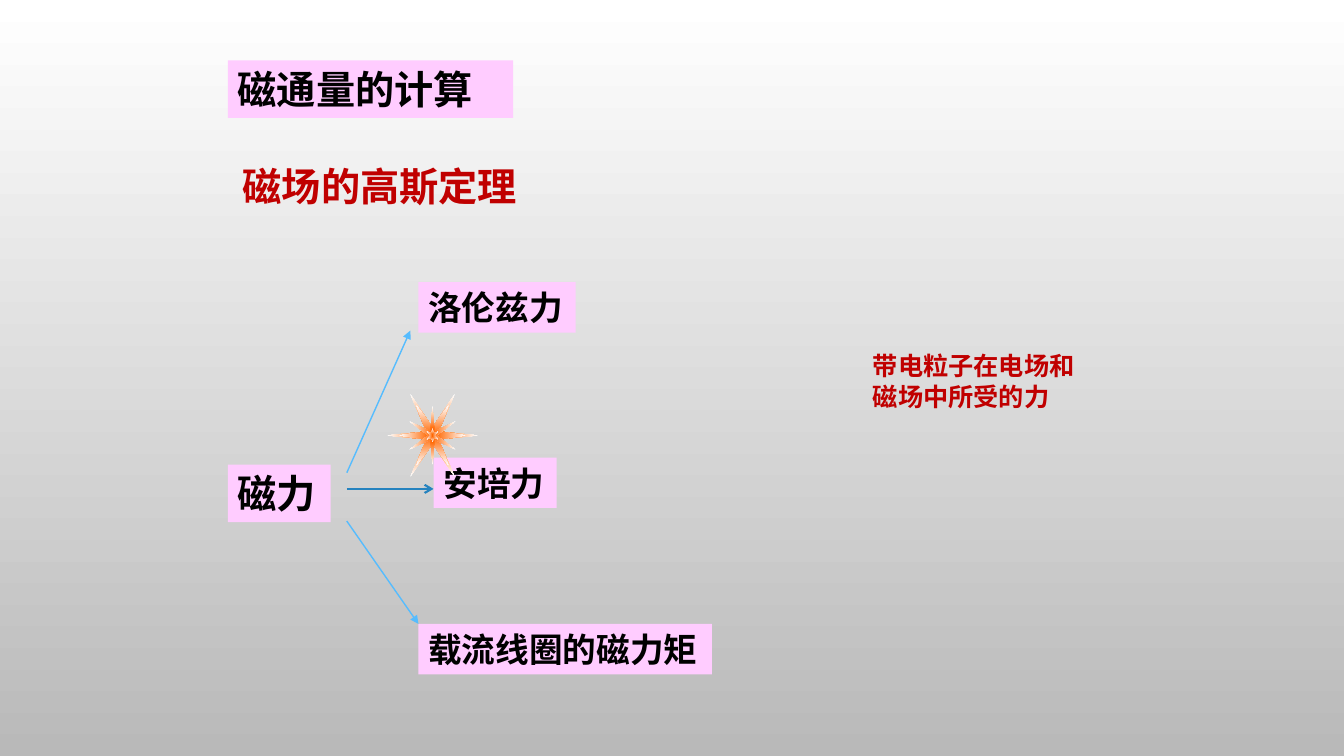
import pptx
import pptx.util
import pptx.dml.color
import pptx.enum.shapes
import pptx.enum.text
import pptx.oxml
import pptx.oxml.ns
import lxml.etree
import dataclasses

SCALE = 9144


@dataclasses.dataclass(frozen=True)
class Theme:
    ink: str = "000000"
    red: str = "C00000"
    pink: str = "FFCCFF"
    sky: str = "56BCFE"
    blue: str = "2683BF"
    flame: str = "FF6600"
    white: str = "FFFFFF"
    grey: str = "B9B9B9"
    sans: str = "Cabin"
    serif: str = "Times New Roman"
    large: int = 28
    mid: int = 24
    small: int = 18


THEME = Theme()


def px(*nums):
    return [pptx.util.Emu(num * SCALE) for num in nums]


def rgb(code):
    return pptx.dml.color.RGBColor.from_string(code)


def blend(fill, first, last):
    fill.gradient()
    for stop, code in zip(fill.gradient_stops, (first, last)):
        stop.color.rgb = rgb(code)


def write(shape, text, size, face, color, wrap):
    frame = shape.text_frame
    frame.text = text
    frame.word_wrap = wrap
    frame.auto_size = pptx.enum.text.MSO_AUTO_SIZE.SHAPE_TO_FIT_TEXT
    frame.vertical_anchor = pptx.enum.text.MSO_ANCHOR.TOP
    para = frame.paragraphs[0]
    para.alignment = pptx.enum.text.PP_ALIGN.LEFT
    font = para.runs[0].font
    font.name, font.size, font.bold = face, pptx.util.Pt(size), True
    font.color.rgb = rgb(color)


def label(slide, area, text, size, face, wrap=True):
    kind = pptx.enum.shapes.MSO_SHAPE.RECTANGLE
    box = slide.shapes.add_shape(kind, *px(*area))
    box.shadow.inherit = False
    box.fill.solid()
    box.fill.fore_color.rgb = rgb(THEME.pink)
    box.line.fill.background()
    write(box, text, size, face, THEME.ink, wrap)


def note(slide, area, text, size):
    box = slide.shapes.add_textbox(*px(*area))
    write(box, text, size, THEME.sans, THEME.red, True)


def arrow(slide, ends, color, width, head):
    kind = pptx.enum.shapes.MSO_CONNECTOR.STRAIGHT
    link = slide.shapes.add_connector(kind, *px(*ends))
    link.line.color.rgb = rgb(color)
    link.line.width = pptx.util.Pt(width)
    tail = lxml.etree.SubElement(link.line._get_or_add_ln(), pptx.oxml.ns.qn("a:tailEnd"))
    tail.set("type", head)
    lxml.etree.SubElement(link._element.spPr, pptx.oxml.ns.qn("a:effectLst"))


def star(slide, mid, side, low, high, top):
    quart = [(side, 0), low, high, (0, top)]
    half = quart + [(-x, y) for x, y in quart[-2::-1]]
    ring = half + [(x, -y) for x, y in half[-2:0:-1]]
    dots = [(mid[0] + x, mid[1] + y) for x, y in ring]
    path = slide.shapes.build_freeform(*dots[0], scale=SCALE)
    path.add_line_segments(dots[1:], close=True)
    shape = path.convert_to_shape()
    shape.shadow.inherit = False
    shape.line.fill.background()
    blend(shape.fill, THEME.flame, THEME.white)
    grad = shape._element.spPr.find(pptx.oxml.ns.qn("a:gradFill"))
    glow = pptx.oxml.parse_xml(
        '<a:path xmlns:a="http://schemas.openxmlformats.org/drawingml/2006/main" path="rect">'
        '<a:fillToRect l="50000" t="50000" r="50000" b="50000"/></a:path>')
    grad.replace(grad.find(pptx.oxml.ns.qn("a:lin")), glow)


def main():
    deck = pptx.Presentation()
    deck.slide_width, deck.slide_height = px(1333, 750)
    slide = deck.slides.add_slide(deck.slide_layouts[6])
    back = slide.background.fill
    blend(back, THEME.white, THEME.grey)
    back.gradient_angle = 270

    note(slide, (231, 156, 358, 57), "磁场的高斯定理", THEME.large)
    label(slide, (226, 60, 283, 57), "磁通量的计算", THEME.large, THEME.serif)
    label(slide, (226, 461, 102, 57), "磁力", THEME.large, THEME.serif)
    label(slide, (415, 280, 156, 50), "洛伦兹力", THEME.mid, THEME.sans, False)
    label(slide, (415, 619, 291, 50), "载流线圈的磁力矩", THEME.mid, THEME.sans, False)
    arrow(slide, (344, 469, 407, 328), THEME.sky, 1, "triangle")
    arrow(slide, (344, 517, 415, 619), THEME.sky, 1, "triangle")
    arrow(slide, (344, 485, 430, 485), THEME.blue, 1.5, "arrow")
    label(slide, (430, 454, 122, 50), "安培力", THEME.mid, THEME.serif, False)

    mid = (429, 432)
    star(slide, mid, 45, (6, 4), (22, 41), 8)
    star(slide, mid, 33, (6, 4), (16, 30), 8)
    star(slide, mid, 4, (23, 14), (2, 4), 29)
    star(slide, mid, 2, (6, 4), (1, 2), 7)
    note(slide, (856, 343, 236, 71), "带电粒子在电场和磁场中所受的力", THEME.small)
    deck.save("out.pptx")


if __name__ == "__main__":
    main()
